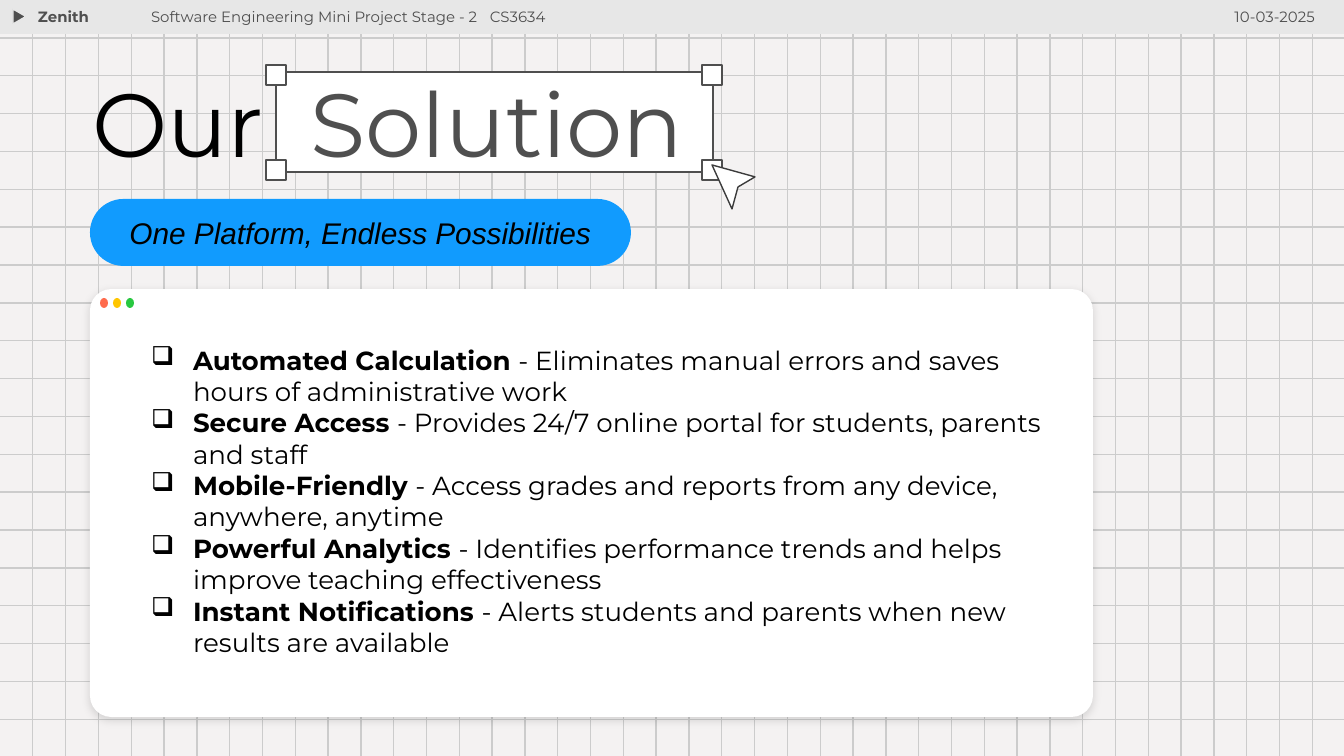
import pptx
import pptx.dml.color
import pptx.enum.shapes
import pptx.enum.text
import pptx.oxml
import pptx.oxml.ns
import pptx.util
from lxml import etree

EMU_PER_PX = 914400 / 134.4
WIDTH, HEIGHT = 1344, 756
GRID_COLUMN, GRID_ROW = 32.81, 37.86
INSET = 13
FONT = "Montserrat"
BLACK, GREY, WHITE, BAR = "000000", "4F4F4F", "FFFFFF", "E7E7E7"
SHAPE = pptx.enum.shapes.MSO_SHAPE
ALIGN = pptx.enum.text.PP_ALIGN
ANCHOR = pptx.enum.text.MSO_ANCHOR

FEATURES = [
    ("Automated Calculation ", "- Eliminates manual errors and saves hours of administrative work"),
    ("Secure Access ", "- Provides 24/7 online portal for students, parents and staff"),
    ("Mobile-Friendly ", "- Access grades and reports from any device, anywhere, anytime"),
    ("Powerful Analytics ", "- Identifies performance trends and helps improve teaching effectiveness"),
    ("Instant Notifications ", "- Alerts students and parents when new results are available"),
]


def px(length):
    return pptx.util.Emu(round(length * EMU_PER_PX))


def color(hex_string):
    return pptx.dml.color.RGBColor.from_string(hex_string)


def paint(shape, fill, line=None):
    shape.shadow.inherit = False
    shape.fill.solid()
    shape.fill.fore_color.rgb = color(fill)
    if line:
        shape.line.color.rgb = color(line)
        shape.line.width = pptx.util.Pt(0.75)
    else:
        shape.line.fill.background()


def add_box(slide, kind, box, fill, line=None, adjustment=None):
    shape = slide.shapes.add_shape(kind, *map(px, box))
    paint(shape, fill, line)
    if adjustment is not None:
        shape.adjustments[0] = adjustment
    return shape


def add_grid_line(slide, start, end):
    line = slide.shapes.add_connector(
        pptx.enum.shapes.MSO_CONNECTOR.STRAIGHT, *map(px, start + end))
    line.line.color.rgb = color("CCCCCC")
    line.line.width = pptx.util.Pt(0.75)
    properties = line.element.spPr
    etree.SubElement(properties, pptx.oxml.ns.qn("a:effectLst"))


def add_grid(slide):
    for row in range(1, 20):
        add_grid_line(slide, (0, row * GRID_ROW), (WIDTH, row * GRID_ROW))
    for column in range(1, 41):
        add_grid_line(slide, (column * GRID_COLUMN, 0), (column * GRID_COLUMN, HEIGHT))


def set_frame(frame, vertical_inset=INSET, anchor=ANCHOR.TOP):
    frame.word_wrap = True
    frame.auto_size = pptx.enum.text.MSO_AUTO_SIZE.NONE
    frame.vertical_anchor = anchor
    frame.margin_left = frame.margin_right = px(INSET)
    frame.margin_top = frame.margin_bottom = px(vertical_inset)


def set_font(paragraph, size, hex_string, name=FONT):
    paragraph.font.name = name
    paragraph.font.size = pptx.util.Pt(size)
    paragraph.font.color.rgb = color(hex_string)


def add_run(paragraph, text, bold=None):
    run = paragraph.add_run()
    run.text = text
    run.font.bold = bold
    return run


def add_wide_space(paragraph, points):
    """Add one space that is widened by the given number of points."""
    run = add_run(paragraph, " ")
    run.font.language_id = pptx.enum.lang.MSO_LANGUAGE_ID.ENGLISH_US
    run.font._element.set("spc", str(round(points * 100)))


def add_header_text(slide, box, text, bold=False, align=ALIGN.LEFT):
    frame = slide.shapes.add_textbox(*map(px, box)).text_frame
    set_frame(frame)
    paragraph = frame.paragraphs[0]
    paragraph.alignment = align
    set_font(paragraph, 8, GREY)
    add_run(paragraph, text, bold)
    return paragraph


def add_header(slide):
    add_box(slide, SHAPE.RECTANGLE, (0, 0, WIDTH, 34), BAR)
    marker = add_box(slide, SHAPE.ISOSCELES_TRIANGLE, (12, 10, 15, 13), GREY, BAR)
    marker.rotation = 90
    add_header_text(slide, (1160, -5, 168, 46), "10-03-2025", align=ALIGN.RIGHT)
    add_header_text(slide, (25, -5, 172, 50), "Zenith", bold=True)
    course = add_header_text(slide, (138, -5, 560, 46),
                             "Software Engineering Mini Project Stage - 2")
    add_wide_space(course, 4.2)
    add_run(course, "CS3634")


def add_title(slide):
    title = slide.shapes.title
    title.left, title.top, title.width, title.height = map(px, (79, 67, 887, 125))
    set_frame(title.text_frame)
    paragraph = title.text_frame.paragraphs[0]
    paragraph.alignment = ALIGN.LEFT
    paragraph.line_spacing = 0.9
    set_font(paragraph, 48, BLACK)
    add_run(paragraph, "Our")
    add_wide_space(paragraph, 12.6)
    add_run(paragraph, "Solution").font.color.rgb = color(GREY)
    slide.shapes.element.append(title.element)


def add_selection_frame(slide):
    add_box(slide, SHAPE.RECTANGLE, (276, 72, 437, 100), WHITE, GREY)
    for left in (266, 702):
        for top in (65, 160):
            add_box(slide, SHAPE.RECTANGLE, (left, top, 20, 20), WHITE, GREY)


def add_cursor(slide):
    builder = slide.shapes.build_freeform(712, 165, scale=EMU_PER_PX)
    builder.add_line_segments([(732, 209), (738, 187), (755, 177)], close=True)
    paint(builder.convert_to_shape(), WHITE, "3B3B3B")


def add_tagline(slide):
    pill = add_box(slide, SHAPE.ROUNDED_RECTANGLE, (90, 199, 541, 67), "119BFE", adjustment=0.5)
    set_frame(pill.text_frame, anchor=ANCHOR.MIDDLE)
    paragraph = pill.text_frame.paragraphs[0]
    paragraph.alignment = ALIGN.CENTER
    set_font(paragraph, 16, BLACK, "Arial")
    paragraph.font.italic = True
    add_run(paragraph, "One Platform, Endless Possibilities")


def add_soft_shadow(shape):
    effects = shape.element.spPr.find(pptx.oxml.ns.qn("a:effectLst"))
    effects.append(pptx.oxml.parse_xml(
        f'<a:outerShdw {pptx.oxml.ns.nsdecls("a")} blurRad="57150" dist="19050" dir="5400000" '
        'algn="bl" rotWithShape="0"><a:srgbClr val="000000"><a:alpha val="12000"/></a:srgbClr>'
        '</a:outerShdw>'))


def add_checkbox_bullet(paragraph):
    properties = paragraph._p.get_or_add_pPr()
    properties.set("marL", str(px(42)))
    properties.set("indent", str(px(-42)))
    bullet_color = etree.SubElement(properties, pptx.oxml.ns.qn("a:buClr"))
    etree.SubElement(bullet_color, pptx.oxml.ns.qn("a:srgbClr"), val=BLACK)
    etree.SubElement(properties, pptx.oxml.ns.qn("a:buChar"), char="❑")


def add_feature_card(slide):
    card = add_box(slide, SHAPE.ROUNDED_RECTANGLE, (90, 289, 1003, 428), WHITE, adjustment=0.05)
    add_soft_shadow(card)
    for index, fill in enumerate(("FF6B4D", "FFC600", "28C840")):
        add_box(slide, SHAPE.OVAL, (100 + 13 * index, 298, 8, 10), fill)
    frame = slide.shapes.add_textbox(*map(px, (138, 337, 918, 331))).text_frame
    set_frame(frame, vertical_inset=7)
    for index, (name, benefit) in enumerate(FEATURES):
        paragraph = frame.add_paragraph() if index else frame.paragraphs[0]
        add_checkbox_bullet(paragraph)
        set_font(paragraph, 14, BLACK)
        add_run(paragraph, name, True)
        add_run(paragraph, benefit, False)


def main():
    presentation = pptx.Presentation()
    presentation.slide_width, presentation.slide_height = px(WIDTH), px(HEIGHT)
    slide = presentation.slides.add_slide(presentation.slide_layouts[5])
    slide.background.fill.solid()
    slide.background.fill.fore_color.rgb = color("F4F2F2")
    add_grid(slide)
    add_header(slide)
    add_selection_frame(slide)
    add_tagline(slide)
    add_title(slide)
    add_cursor(slide)
    add_feature_card(slide)
    presentation.save("out.pptx")


if __name__ == "__main__":
    main()
